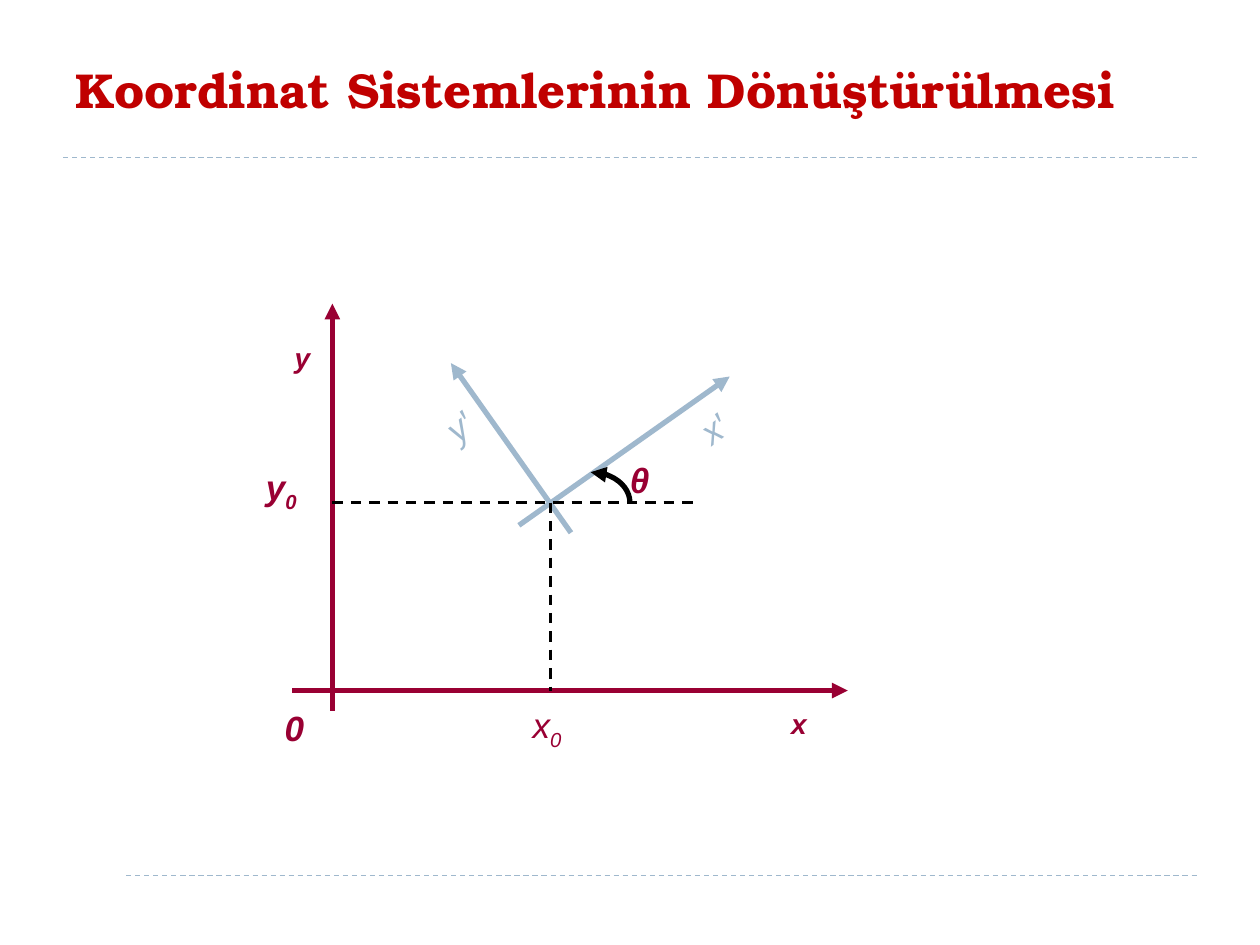
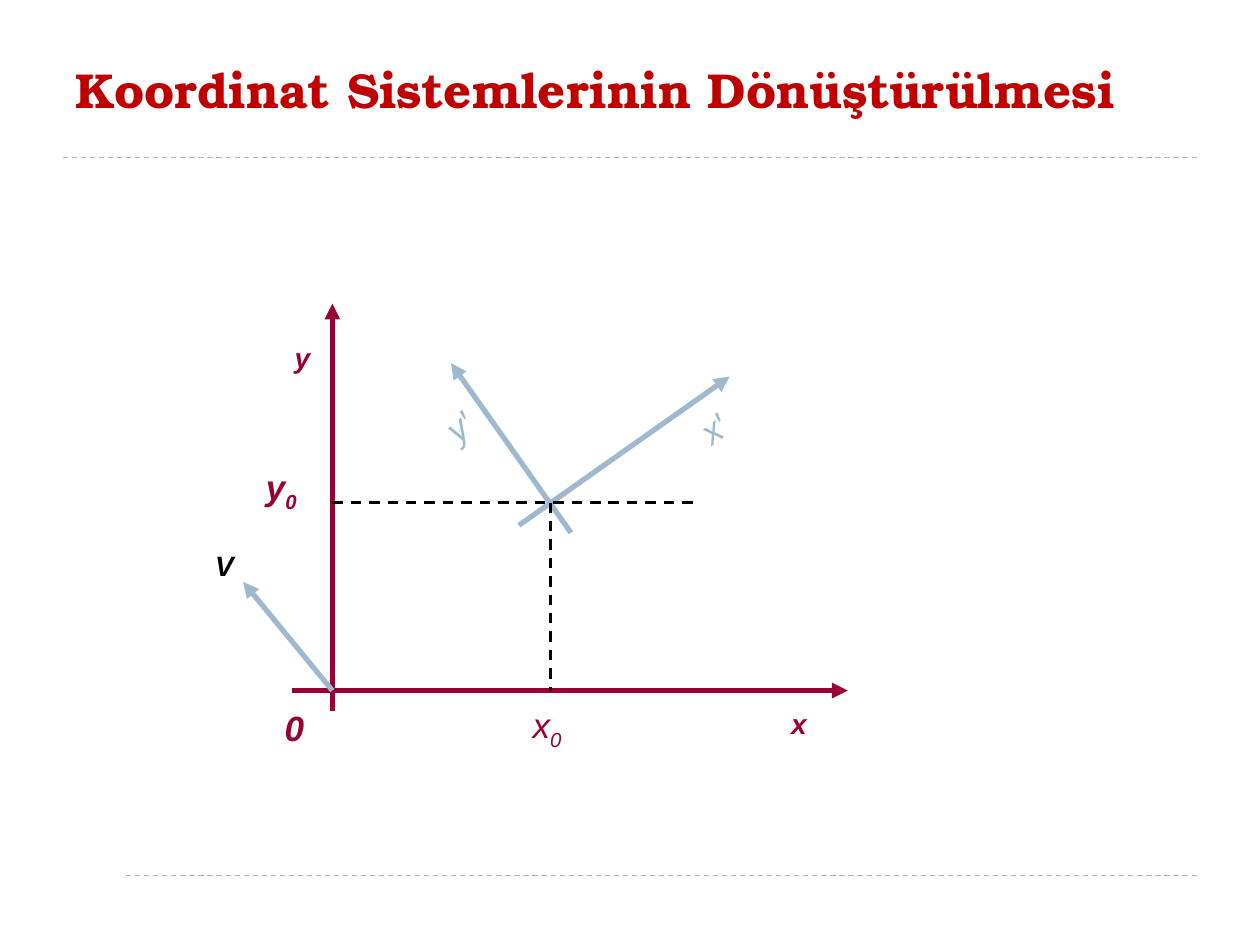
from lxml import etree
from pptx import Presentation
from pptx import util as u
from pptx.dml.color import RGBColor
from pptx.enum import dml, shapes, text
from pptx.oxml.ns import qn

COLORS = {"title": "C00000", "axis": "990033", "tilted": "9FB8CD",
          "rule": "9FB8CD", "ink": "000000", "paper": "FFFFFF"}
BODY_FONT, TITLE_FONT = "Arial", "TeX Gyre Bonum"
TITLE = "Koordinat Sistemlerinin Dönüştürülmesi"

# Key points of the drawing, in cm
OX, OY = 6.7, 13.92      # origin of the fixed axes
X0, Y0 = 11.1, 10.13     # origin of the tilted axes
LABEL_Y = 14.12          # labels under the x axis


def rgb(name):
    return RGBColor.from_string(COLORS[name])


def write(tf, content, sub="", size=20, font=BODY_FONT, color="axis",
          bold=True, italic=True):
    """Write one line of text, with an optional subscript after it."""
    p = tf.paragraphs[0]
    for part, baseline in ((content, None), (sub, "-25000")):
        if not part:
            continue
        r = p.add_run()
        r.text = part
        f = r.font
        f.size, f.name, f.bold, f.italic = u.Pt(size), font, bold, italic
        f.color.rgb = rgb(color)
        if baseline:
            r._r.get_or_add_rPr().set("baseline", baseline)


class Deck:
    def __init__(self):
        self.prs = Presentation()
        self.prs.slide_width, self.prs.slide_height = u.Cm(25.4), u.Cm(19.05)
        self.s = None

    def new_slide(self):
        self.s = self.prs.slides.add_slide(self.prs.slide_layouts[6])
        # Dashed rules, the lower one shortened by a white corner
        for y in (17.65, 3.18):
            self.line((1.27, y), (24.13, y), "rule", 0.75, dash=True)
        self.patch(0.89, 17.32, 1.6, 1.6)
        self.label(TITLE, 1.27, 0.43, 22.86, 2.74, size=28, font=TITLE_FONT,
                   color="title", italic=False)

    def style_line(self, sp, color, width, dash=False, arrow=None):
        sp.line.color.rgb = rgb(color)
        sp.line.width = u.Pt(width)
        if dash:
            sp.line.dash_style = dml.MSO_LINE.DASH
        if arrow:
            etree.SubElement(sp.line._get_or_add_ln(), qn(f"a:{arrow}"),
                             type="triangle")

    def line(self, start, end, color, width, dash=False, arrow=None):
        sp = self.s.shapes.add_connector(
            shapes.MSO_CONNECTOR.STRAIGHT, *(u.Cm(v) for v in start + end))
        self.style_line(sp, color, width, dash, arrow)
        etree.SubElement(sp._element.spPr, qn("a:effectLst"))

    def arrow(self, start, end, color):
        self.line(start, end, color, 3, arrow="tailEnd")

    def patch(self, *box):
        sp = self.s.shapes.add_shape(shapes.MSO_SHAPE.RECTANGLE,
                                     *(u.Cm(v) for v in box))
        sp.shadow.inherit = False
        sp.fill.solid()
        sp.fill.fore_color.rgb = rgb("paper")
        sp.line.fill.background()

    def arc(self, cx, cy, rx, ry):
        """Upper right quarter of an ellipse, arrowhead at its top."""
        box = (cx - rx, cy - ry, 2 * rx, 2 * ry)
        sp = self.s.shapes.add_shape(shapes.MSO_SHAPE.ARC,
                                     *(u.Cm(v) for v in box))
        sp.shadow.inherit = False
        sp.fill.background()
        self.style_line(sp, "ink", 3, arrow="headEnd")

    def label(self, content, x, y, w, h=1.09, rotation=0, **fmt):
        sp = self.s.shapes.add_textbox(*(u.Cm(v) for v in (x, y, w, h)))
        sp.rotation = rotation
        tf = sp.text_frame
        tf.word_wrap = True
        tf.vertical_anchor = text.MSO_ANCHOR.MIDDLE
        write(tf, content, **fmt)

    def axes(self):
        # Fixed axes
        self.arrow((OX, 14.33), (OX, 6.12), "axis")
        self.arrow((5.89, OY), (17.09, OY), "axis")
        self.label("y", 5.69, 6.73, 1.4, 0.94, size=16)
        self.label("x", 15.7, LABEL_Y, 1.6, 0.94, size=16)
        # Tilted axes
        self.arrow((11.51, 10.74), (9.09, 7.32), "tilted")
        self.arrow((10.46, 10.59), (14.71, 7.59), "tilted")
        self.label("x′", 13.69, 7.49, 2.97, rotation=323, color="tilted", bold=False)
        self.label("y′", 8.71, 7.92, 1.4, rotation=320.5, color="tilted", bold=False)
        # Guides to the tilted origin
        self.line((X0, Y0), (X0, OY), "ink", 1.5, dash=True)
        self.line((OX, Y0), (14.1, Y0), "ink", 1.5, dash=True)
        self.label("x", 10.49, LABEL_Y, 2.01, sub="0", bold=False)
        self.label("y", 5.11, 9.32, 1.6, sub="0")
        self.label("0", 5.49, LABEL_Y, 1.4)


def main():
    deck = Deck()

    # Slide 1: rotation angle
    deck.new_slide()
    deck.axes()
    deck.arc(11.91, Y0, 0.79, 0.61)
    deck.label("θ", 12.45, 9.12, 0.81)

    # Slide 2: vector at the fixed origin
    deck.new_slide()
    deck.axes()
    deck.arrow((OX, OY), (4.9, 11.73), "tilted")
    deck.label("V", 4.09, 10.92, 0.99, 0.94, size=16, color="ink")

    deck.prs.save("out.pptx")


if __name__ == "__main__":
    main()
